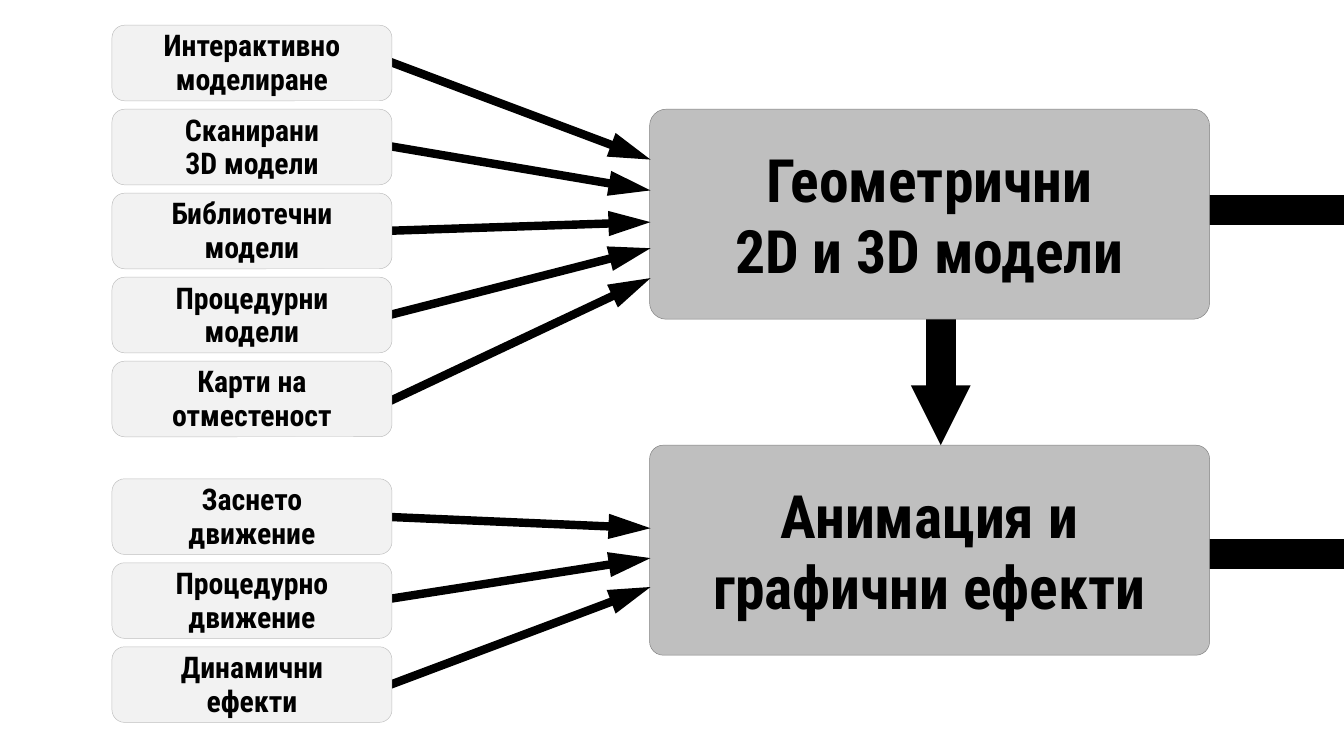
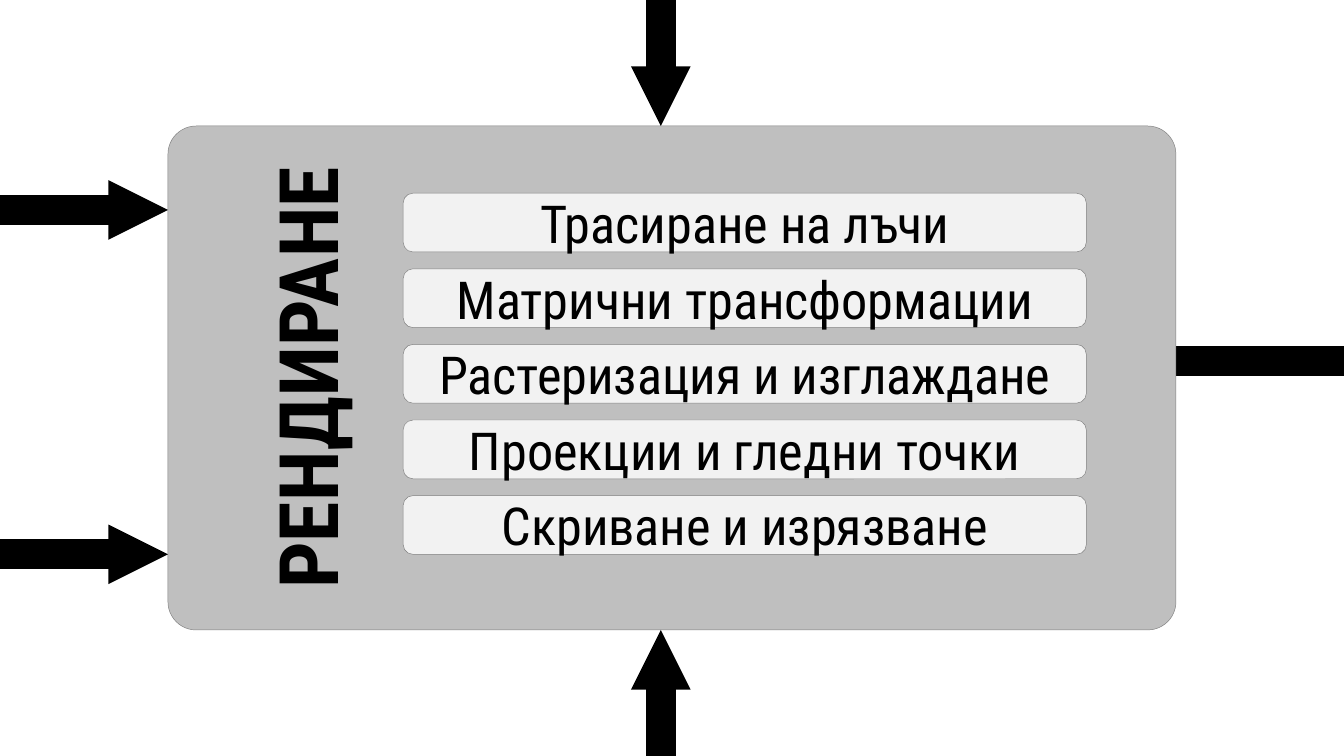
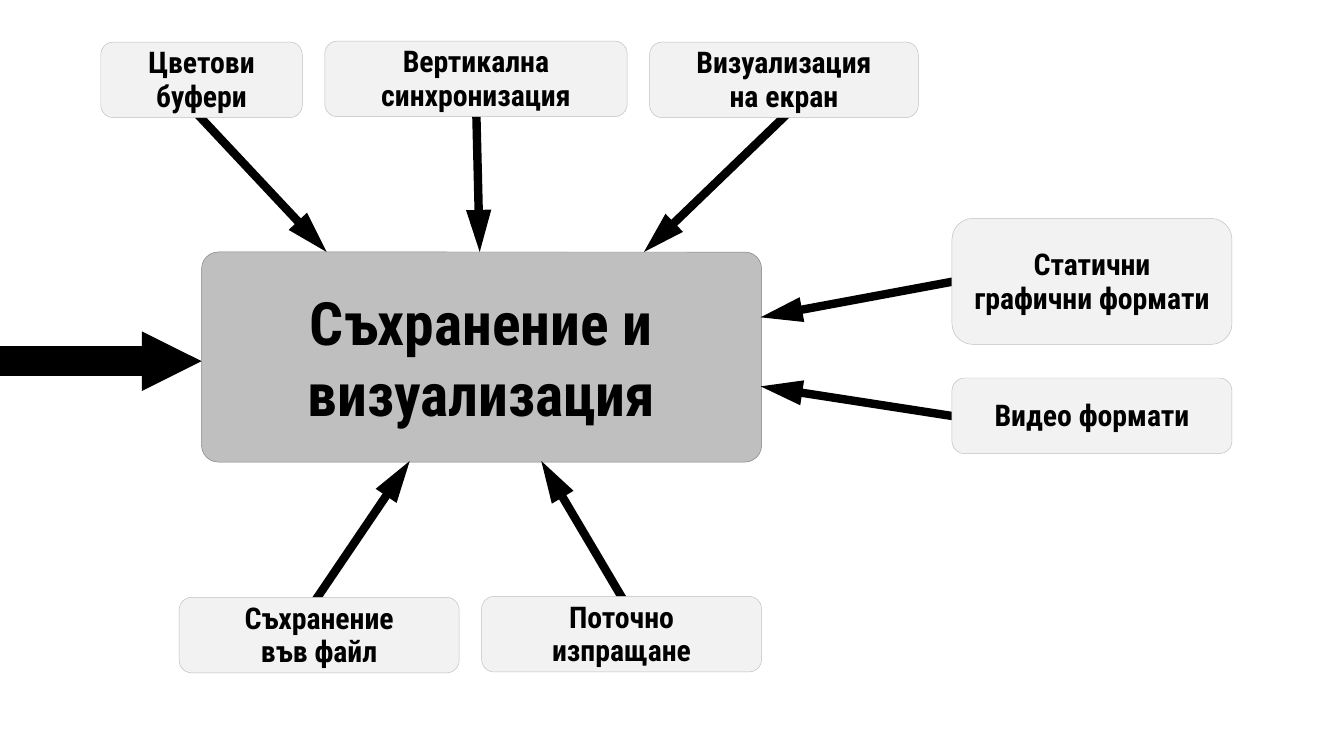
from lxml.etree import SubElement
from pptx import Presentation
from pptx.dml.color import RGBColor
from pptx.enum.shapes import MSO_CONNECTOR, MSO_SHAPE
from pptx.enum.text import MSO_ANCHOR, PP_ALIGN
from pptx.oxml.ns import qn
from pptx.util import Pt

WIDE, HIGH = 720, 405
HUB = (300, 112.5)
CHIP = (150, 40.5)
COLORS = {"ink": "000000", "hub": "BFBFBF", "chip": "F2F2F2",
          "edge": "808080", "soft": "BFBFBF"}
FONTS = {
    "chip": {"size": Pt(16), "bold": True},
    "hub": {"size": Pt(32), "bold": True},
    "step": {"size": Pt(28), "bold": False},
    "name": {"size": Pt(44), "bold": True},
}


def color(key):
    return RGBColor.from_string(COLORS[key])


class Deck:
    def __init__(self):
        self.prs = Presentation()
        self.prs.slide_width, self.prs.slide_height = Pt(WIDE), Pt(HIGH)
        self.slide = None

    def page(self):
        self.slide = self.prs.slides.add_slide(self.prs.slide_layouts[6])

    def label(self, frame, text, style, lead=None):
        frame.text = text
        frame.word_wrap = True
        frame.vertical_anchor = MSO_ANCHOR.MIDDLE
        for para in frame.paragraphs:
            para.alignment = PP_ALIGN.CENTER
            if lead:
                para.line_spacing = Pt(lead)
            for run in para.runs:
                for key, value in FONTS[style].items():
                    setattr(run.font, key, value)
                run.font.name = "Roboto Condensed"
                run.font.color.rgb = color("ink")

    def panel(self, x, y, w, h, fill, edge="edge", adj=None):
        shape = self.slide.shapes.add_shape(
            MSO_SHAPE.ROUNDED_RECTANGLE, Pt(x), Pt(y), Pt(w), Pt(h))
        shape.shadow.inherit = False
        shape.fill.solid()
        shape.fill.fore_color.rgb = color(fill)
        shape.line.color.rgb = color(edge)
        shape.line.width = Pt(0.25)
        if adj:
            shape.adjustments[0] = adj
        return shape.text_frame

    def hub(self, text, x, y, adj=0.079):
        self.label(self.panel(x, y, *HUB, "hub", adj=adj), text, "hub")

    def chip(self, text, x, y, w=CHIP[0], h=CHIP[1]):
        self.label(self.panel(x, y, w, h, "chip", "soft"), text, "chip", 18)

    def step(self, text, x, y, w, h):
        self.label(self.panel(x, y, w, h, "chip"), text, "step")

    def name(self, text, x, y, w, h):
        """Add a title that reads from bottom to top."""
        box = self.slide.shapes.add_textbox(Pt(x), Pt(y), Pt(w), Pt(h))
        frame = box.text_frame
        for side in ("left", "right", "top", "bottom"):
            setattr(frame, f"margin_{side}", 0)
        self.label(frame, text, "name")
        box._element.txBody.find(qn("a:bodyPr")).set("vert", "vert270")

    def line(self, start, end, width, head=None):
        """Draw a line; head is the (width, length) of its arrowhead."""
        link = self.slide.shapes.add_connector(
            MSO_CONNECTOR.STRAIGHT, *map(Pt, start + end))
        link.line.color.rgb = color("ink")
        link.line.width = Pt(width)
        props = link._element.spPr
        if head:
            SubElement(props.find(qn("a:ln")), qn("a:tailEnd"),
                       type="triangle", w=head[0], len=head[1])
        SubElement(props, qn("a:effectLst"))

    def link(self, start, end):
        self.line(start, end, 4.5, ("med", "lg"))

    def flow(self, start, end, head=True):
        self.line(start, end, 16, ("sm", "sm") if head else None)


def models(deck):
    deck.page()
    groups = [
        (13.5, [("Интерактивно моделиране", 29, 85.5),
                ("Сканирани\n3D модели", 76.5, 102),
                ("Библиотечни модели", 124, 119),
                ("Процедурни\vмодели", 171.5, 133),
                ("Карти на отместеност", 220, 149)]),
        (256.5, [("Заснето\nдвижение", 276.5, 283),
                 ("Процедурно движение", 322.5, 299),
                 ("Динамични\nефекти", 371, 314.5)]),
    ]
    for y in (112.5, 297):
        deck.flow((600, y), (WIDE, y), head=False)
    deck.hub("Анимация и графични ефекти", 348, 238.5, 0.065)
    deck.flow((504, 171), (504, 238.5))
    deck.hub("Геометрични\n2D и 3D модели", 348, 58.5)
    for top, rows in groups:
        for i, (text, start, end) in enumerate(rows):
            deck.link((198, start), (348.5, end))
            deck.chip(text, 60, top + 45 * i)


def render(deck):
    deck.page()
    steps = ["Трасиране на лъчи", "Матрични трансформации",
             "Растеризация и изглаждане", "Проекции и гледни точки",
             "Скриване и изрязване"]
    deck.flow((WIDE, 193.5), (606, 193.5), head=False)
    deck.panel(90, 67.5, 540, 270, "hub", adj=0.056)
    deck.name("РЕНДИРАНЕ", 136, 67.5, 56, 270)
    for start, end in ((HIGH, 337.5), (0, 67.5)):
        deck.flow((354, start), (354, end))
    for y in (112.5, 297):
        deck.flow((0, y), (90, y))
    for i, text in enumerate(steps):
        deck.step(text, 216, 103.5 + 40.5 * i, 366, 31.5)


def output(deck):
    deck.page()
    nodes = [
        ("Цветови буфери", (54, 22.5, 108), (100, 55), (175, 135)),
        ("Вертикална синхронизация", (174, 22, 162), (255, 52.5), (257, 135)),
        ("Визуализация\nна екран", (348, 22.5, 144), (429, 54), (345, 135)),
        ("Статични графични формати", (510, 117, 150, 67.5),
         (520.5, 149), (407.5, 170)),
        ("Видео формати", (510, 202.5), (520.5, 224.5), (407.5, 207)),
        ("Съхранение\vвъв файл", (96, 320), (165, 327.5), (219.5, 247)),
        ("Поточно изпращане", (258, 319.5), (340.5, 332.5), (290, 247)),
    ]
    deck.hub("Съхранение и визуализация", 108, 135)
    deck.flow((0, 193.5), (108, 193.5))
    for text, box, start, end in nodes:
        deck.link(start, end)
        deck.chip(text, *box)


def main():
    deck = Deck()
    for build in (models, render, output):
        build(deck)
    deck.prs.save("out.pptx")


if __name__ == "__main__":
    main()
